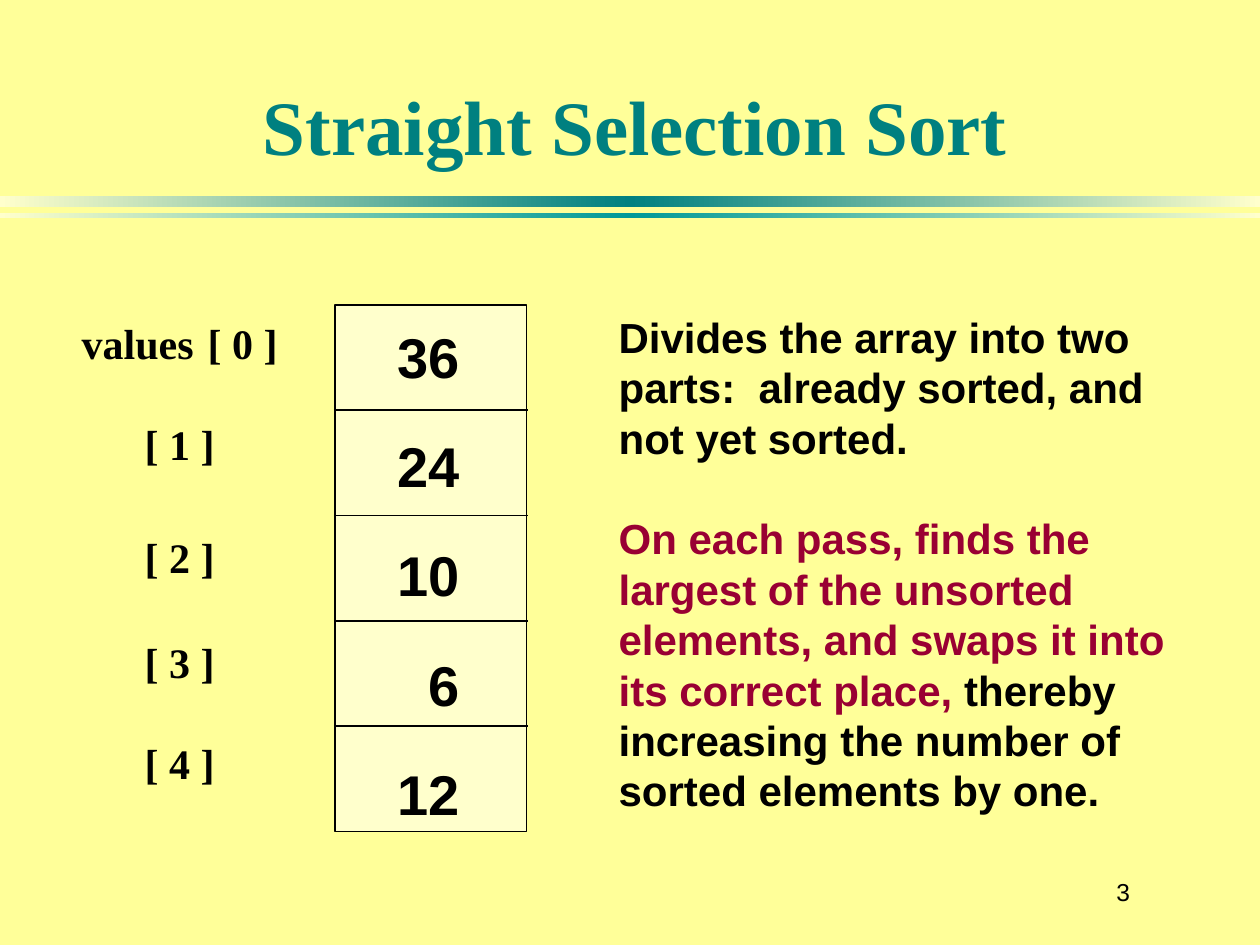
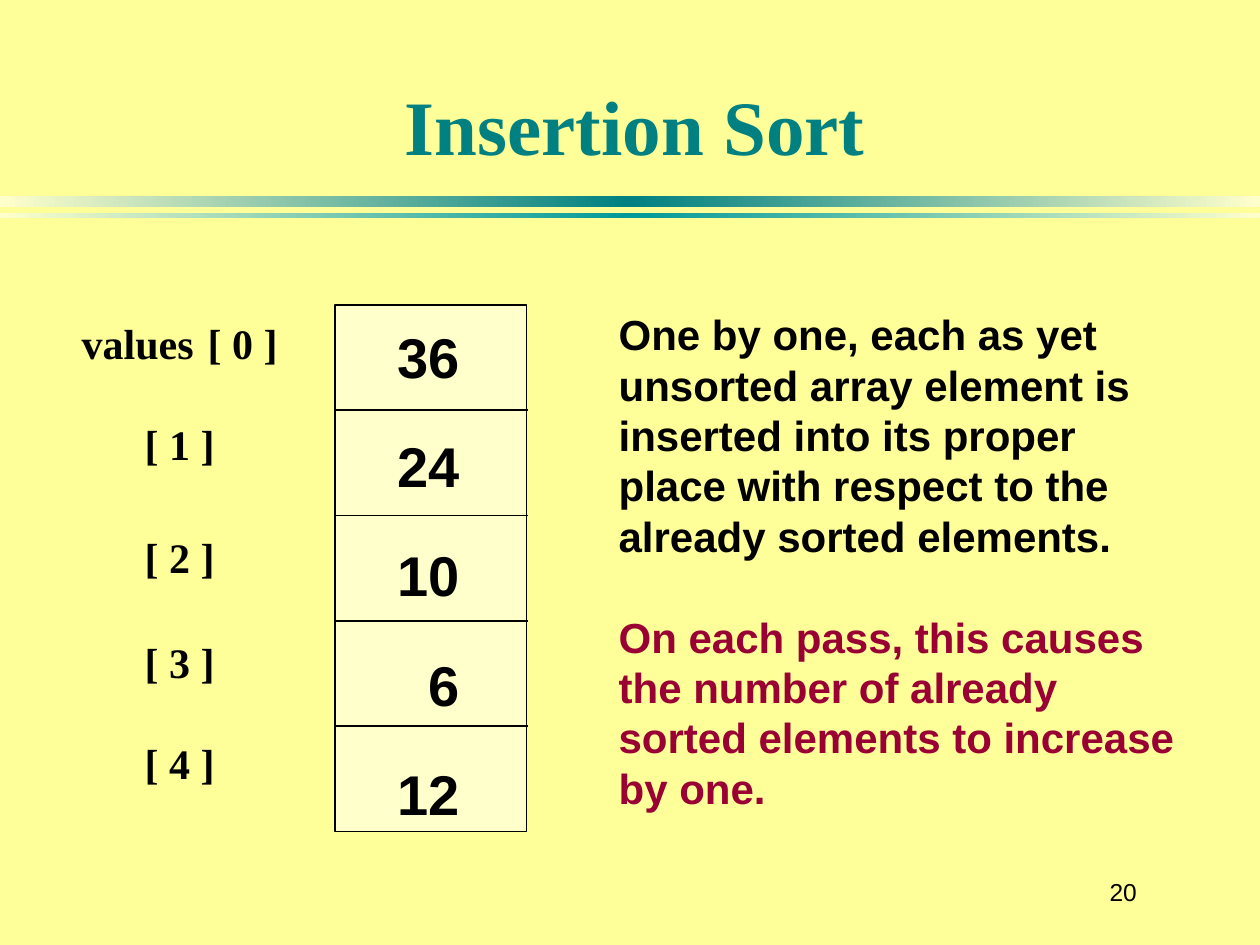
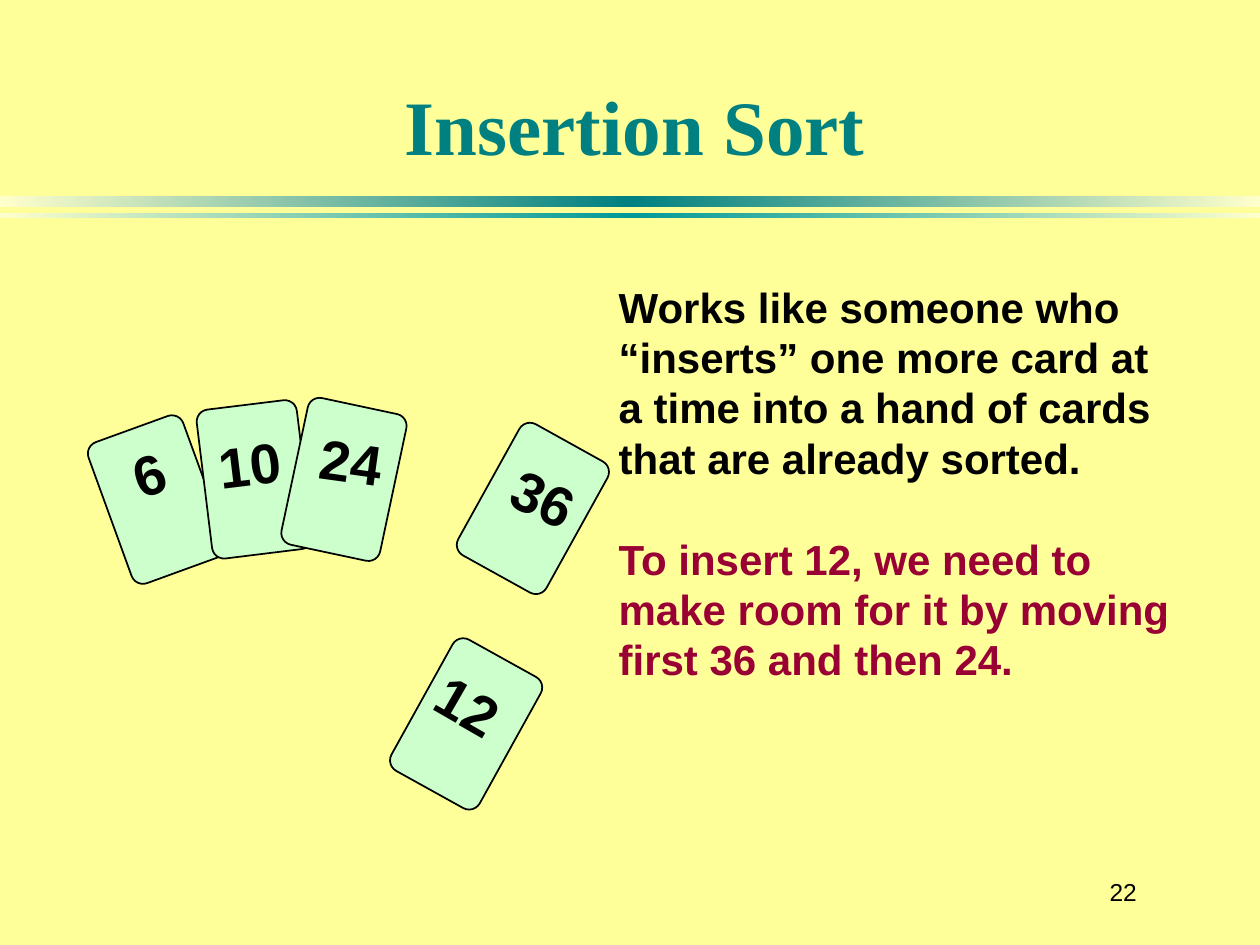
from lxml import etree
from pptx import Presentation
from pptx import util as u
from pptx.dml import color
from pptx.enum import shapes, text
from pptx.oxml.ns import qn

SANS, SERIF = "Arial", "Times New Roman"
PAGE, CREAM, CARD = "FFFF99", "FFFFCC", "CCFFCC"
TEAL, SEA, MAROON, BLACK = "008080", "009999", "990033", "000000"
LEADING = 1.2  # line height as a multiple of the type size
LEFT, CENTER, RIGHT = text.PP_ALIGN.LEFT, text.PP_ALIGN.CENTER, text.PP_ALIGN.RIGHT
rgb = color.RGBColor.from_string

deck = Presentation()
deck.slide_width, deck.slide_height = u.Inches(10), u.Inches(7.5)


def place(left, top, width, height):
    """Turn percentages of the slide's width and height into lengths."""
    across, down = deck.slide_width / 100, deck.slide_height / 100
    return [round(n) for n in (left * across, top * down, width * across, height * down)]


def write(frame, paragraphs, size, font=SANS, align=LEFT, bold=True,
          gaps=(), tab=None, anchor=text.MSO_ANCHOR.TOP, wrap=True):
    """Fill a frame with paragraphs, each a list of (words, colour) runs."""
    frame.word_wrap, frame.vertical_anchor = wrap, anchor
    frame.auto_size = text.MSO_AUTO_SIZE.NONE
    for n, runs in enumerate(paragraphs):
        line = frame.add_paragraph() if n else frame.paragraphs[0]
        props = line._p.get_or_add_pPr()
        props.set("marL", "0")
        props.set("indent", "0")
        etree.SubElement(props, qn("a:buNone"))
        if tab:
            stops = etree.SubElement(props, qn("a:tabLst"))
            etree.SubElement(stops, qn("a:tab"), pos=str(u.Inches(tab)), algn="l")
        line.alignment = align
        line.line_spacing = u.Pt(size * LEADING)
        line.space_before = u.Pt(gaps[n - 1] if n else 0)
        for words, ink in runs:
            run = line.add_run()
            run.text = words
            run.font.name, run.font.size, run.font.bold = font, u.Pt(size), bold
            run.font.color.rgb = rgb(ink)


# Content: title, page number, top and height of the explanation, its paragraphs
lessons = [
    ("Straight Selection Sort", "3", 32.27, 54.67, [
        [("Divides the array into two parts:  already sorted, and not yet sorted.", BLACK)],
        [("On each pass, finds the largest of the unsorted elements, and swaps it "
          "into its correct place, ", MAROON),
         ("thereby increasing the number of sorted elements by one.", BLACK)]]),
    ("Insertion Sort", "20", 32, 54.67, [
        [("One by one, each as yet unsorted array element is inserted into its proper "
          "place with respect to the already sorted elements.", BLACK)],
        [("On each pass, this causes the number of already sorted elements to "
          "increase by one.", MAROON)]]),
    ("Insertion Sort", "22", 29.07, 44, [
        [("Works like someone who “inserts” one more card at a time into a hand of "
          "cards that are already sorted.", BLACK)],
        [("To insert 12, we need to make room for it by moving first 36 and then 24.",
          MAROON)]]),
]

# Title, explanation and page number on every slide
slides = []
for title, number, top, height, explanation in lessons:
    slide = deck.slides.add_slide(deck.slide_layouts[1])
    slides.append(slide)
    heading, body = slide.placeholders
    heading.left, heading.top, heading.width, heading.height = place(18.2, 2.13, 64.4, 16.67)
    write(heading.text_frame, [[(title, TEAL)]], 44, SERIF, CENTER,
          anchor=text.MSO_ANCHOR.BOTTOM)
    body.left, body.top, body.width, body.height = place(48.1, top, 46.6, height)
    write(body.text_frame, explanation, 24, gaps=[24 * LEADING])
    page = slide.shapes.add_textbox(*place(85.8, 91.07, 6.7, 6.67))
    write(page.text_frame, [[(number, BLACK)]], 14, align=CENTER, bold=False,
          anchor=text.MSO_ANCHOR.MIDDLE)

# Shared background and the two fading bands, kept on the master
master = deck.slide_master
master.background.fill.solid()
master.background.fill.fore_color.rgb = rgb(PAGE)
for n, (top, height, middle) in enumerate([(20.8, 1.07, TEAL), (22.53, 0.53, SEA)]):
    band = slides[0].shapes.add_shape(shapes.MSO_SHAPE.RECTANGLE, *place(0, top, 100, height))
    band.shadow.inherit = False
    band.line.fill.background()
    band.fill.gradient()
    band.fill.gradient_angle = 0
    fade = band.element.spPr.find(".//" + qn("a:gsLst"))
    for stop in list(fade):
        fade.remove(stop)
    for share, tint in [(0, CREAM), (50, middle), (100, CREAM)]:
        stop = etree.SubElement(fade, qn("a:gs"), pos=str(share * 1000))
        etree.SubElement(stop, qn("a:srgbClr"), val=tint)
    band.element.nvSpPr.cNvPr.set("id", str(20 + n))
    master.shapes.element.insert(2 + n, band.element)

# The array of values on the two overview slides
values = ["36", "24", "10", "6", "12"]
array_top, array_height = 32.27, 55.73
for slide in slides[:2]:
    indexes = slide.shapes.add_textbox(*place(5.5, 32.93, 24.3, 51.07))
    write(indexes.text_frame,
          [[(("" if n else "values") + f"\t[ {n} ]", BLACK)] for n in range(len(values))],
          24, SERIF, gaps=[28.8, 36, 31.2, 28.8], tab=1.08)

    array = slide.shapes.add_shape(shapes.MSO_SHAPE.RECTANGLE,
                                   *place(26.6, array_top, 15.2, array_height))
    array.shadow.inherit = False
    array.fill.solid()
    array.fill.fore_color.rgb = rgb(CREAM)
    array.line.color.rgb, array.line.width = rgb(BLACK), u.Pt(1)

    for n in range(1, len(values)):
        left, level, width, _ = place(26.5, array_top + n * array_height / len(values), 15.4, 0)
        divider = slide.shapes.add_connector(shapes.MSO_CONNECTOR.STRAIGHT,
                                             left, level, left + width, level)
        divider.line.color.rgb, divider.line.width = rgb(BLACK), u.Pt(1)
        etree.SubElement(divider.element.spPr, qn("a:effectLst"))

    contents = slide.shapes.add_textbox(*place(30.5, 33.47, 7, 54.67))
    write(contents.text_frame, [[(value, BLACK)] for value in values], 32, align=RIGHT,
          gaps=[20 * LEADING] * 4)

# The hand of cards: value, card left, top and turn, then label left, top and turn
hand = [
    ("6", 8.5, 44.93, -20, 8.35, 45.87, -19),
    ("10", 16.2, 42.8, -7, 16.3, 44.8, -7),
    ("24", 23.3, 42.8, 12, 24.4, 44.53, 8),
    ("36", 38.3, 45.87, 29, 39.7, 48.4, 25),
    ("12", 33, 68.67, 29, 33.7, 70.4, 30),
]
for value, left, top, turn, label_left, label_top, label_turn in hand:
    card = slides[2].shapes.add_shape(shapes.MSO_SHAPE.ROUNDED_RECTANGLE,
                                      *place(left, top, 8, 15.87))
    card.adjustments[0] = 0.12
    card.rotation = turn
    card.shadow.inherit = False
    card.fill.solid()
    card.fill.fore_color.rgb = rgb(CARD)
    card.line.color.rgb, card.line.width = rgb(BLACK), u.Pt(1)
    label = slides[2].shapes.add_textbox(*place(label_left, label_top, 7, 8.4))
    label.rotation = label_turn
    write(label.text_frame, [[(value, BLACK)]], 32, align=CENTER, wrap=False)

deck.save("out.pptx")
